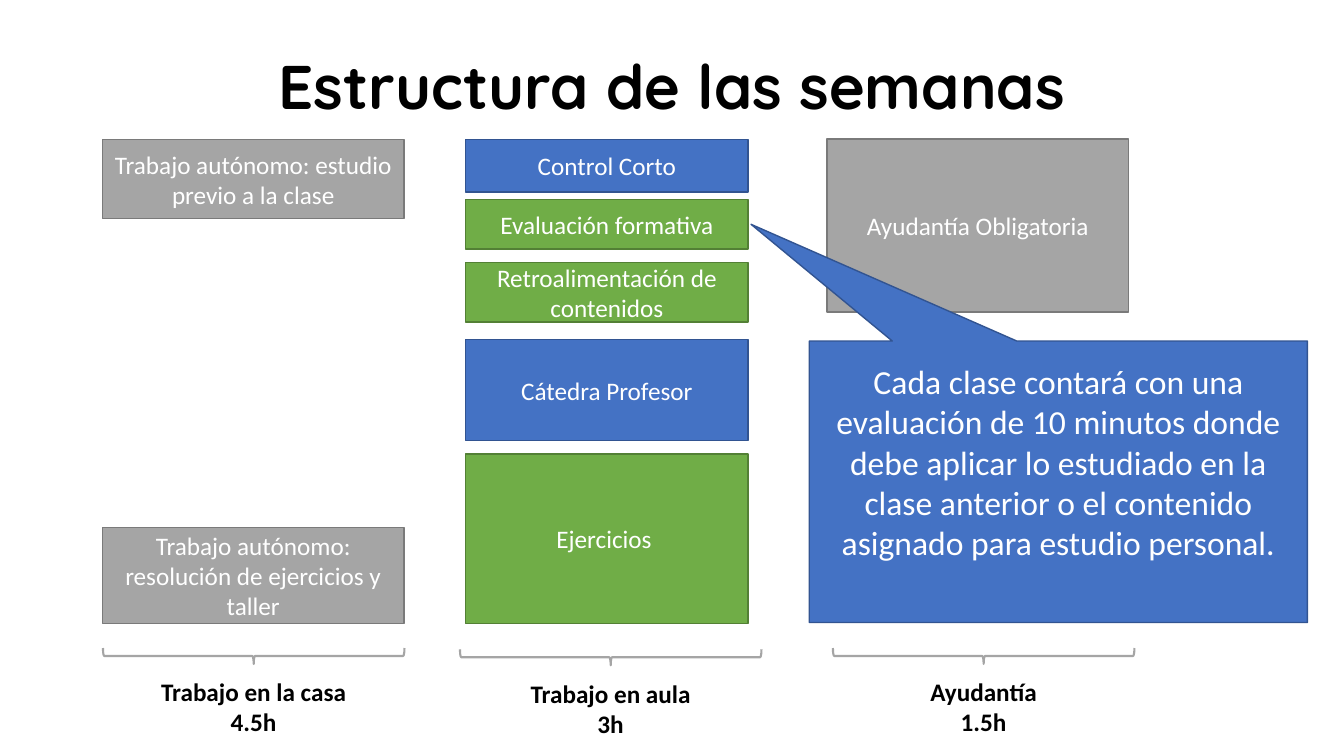
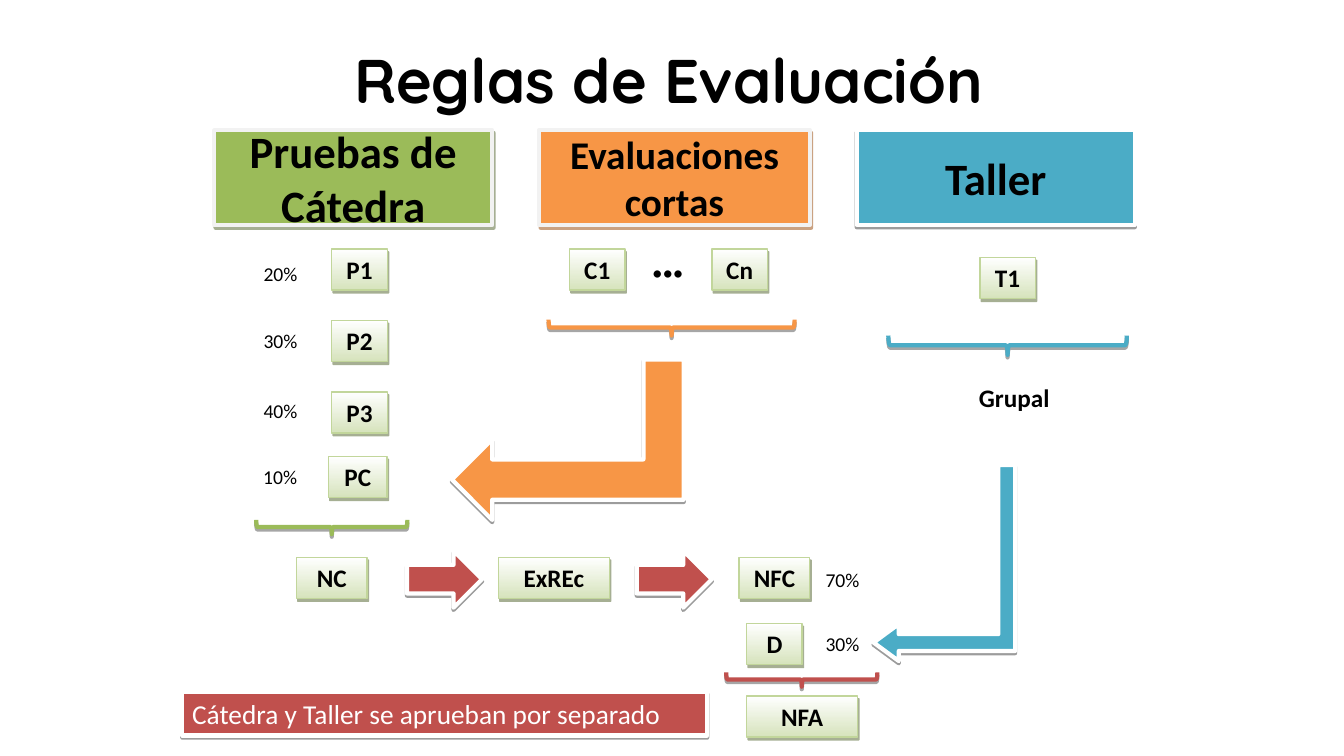
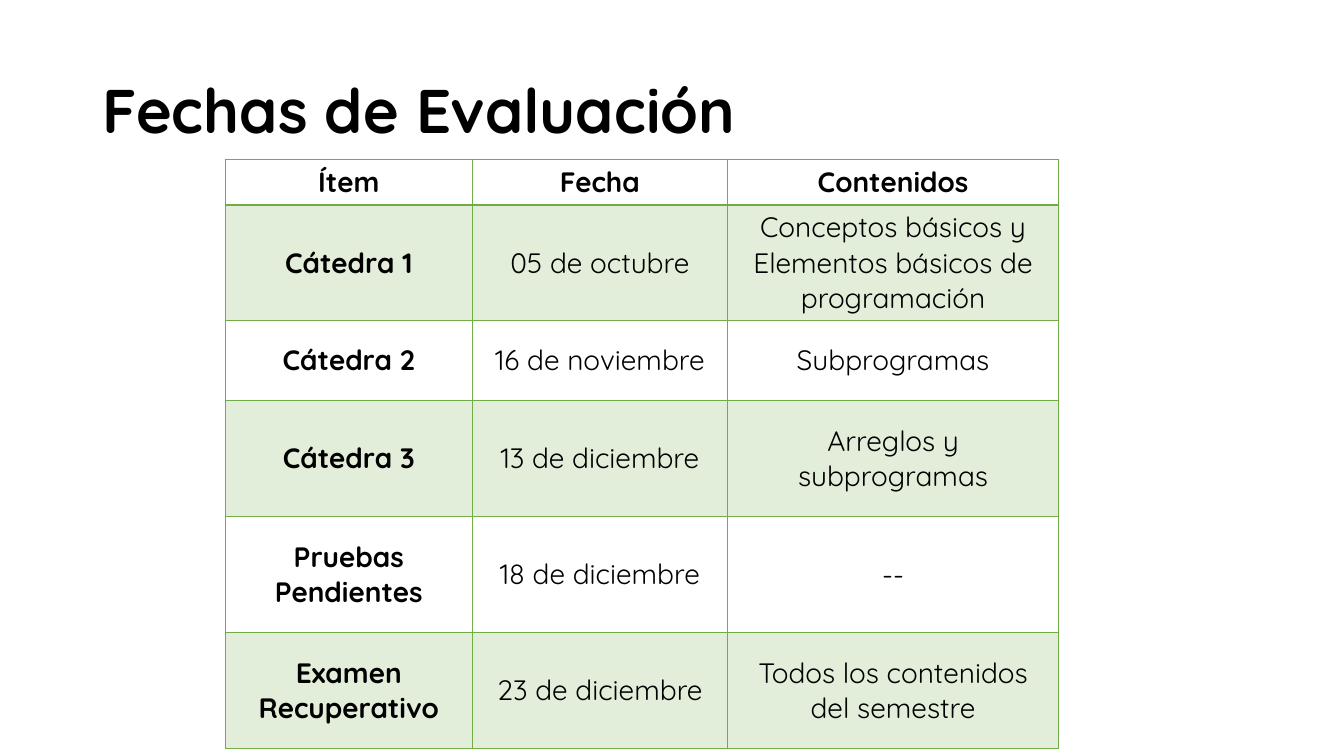
from lxml import etree
from pptx import Presentation
from pptx import util as u
from pptx.dml.color import RGBColor
from pptx.enum import shapes, text
from pptx.oxml import ns

# Shared look
BLACK = RGBColor(0x00, 0x00, 0x00)
WHITE = RGBColor(0xFF, 0xFF, 0xFF)
PALE = RGBColor(0xF2, 0xF2, 0xF2)
BLUE = RGBColor(0x44, 0x72, 0xC4)
BLUE_EDGE = RGBColor(0x32, 0x54, 0x91)
GREEN = RGBColor(0x70, 0xAD, 0x47)
GREEN_EDGE = RGBColor(0x53, 0x80, 0x35)
GREEN_TINT = RGBColor(0xE2, 0xEE, 0xDA)
GREY = RGBColor(0xA5, 0xA5, 0xA5)
GREY_EDGE = RGBColor(0x7A, 0x7A, 0x7A)
OLIVE = RGBColor(0x9B, 0xBB, 0x59)
OLIVE_DARK = RGBColor(0x4E, 0x61, 0x28)
OLIVE_TINT = RGBColor(0xD6, 0xE3, 0xBC)
OLIVE_EDGE = RGBColor(0xC2, 0xD6, 0x9B)
ORANGE = RGBColor(0xF7, 0x96, 0x46)
ORANGE_DARK = RGBColor(0x97, 0x47, 0x06)
TEAL = RGBColor(0x4B, 0xAC, 0xC6)
RED = RGBColor(0xC0, 0x50, 0x4D)
BODY_FONT, TITLE_FONT = "Calibri", "Quicksand"
EDGES = {BLUE: BLUE_EDGE, GREEN: GREEN_EDGE, GREY: GREY_EDGE}

# Shadows: colour, opacity %, distance in points, angle
OLIVE_SHADOW = (OLIVE_DARK, 50, 2.2, 63)
ORANGE_SHADOW = (ORANGE_DARK, 50, 2.2, 63)
ARROW_SHADOW = (BLACK, 38, 1.6, 90)
BRACE_SHADOW = (BLACK, 35, 1.8, 90)

RECTANGLE = shapes.MSO_SHAPE.RECTANGLE
BRACE = shapes.MSO_SHAPE.RIGHT_BRACE
LEFT, CENTER, RIGHT = text.PP_ALIGN.LEFT, text.PP_ALIGN.CENTER, text.PP_ALIGN.RIGHT
TOP, MIDDLE = text.MSO_ANCHOR.TOP, text.MSO_ANCHOR.MIDDLE

# Grid of 160 columns by 90 rows of square cells
CELL = u.Inches(1) // 12
deck = Presentation()
deck.slide_width, deck.slide_height = 160 * CELL, 90 * CELL


def draw(page, outline, area, fill=None, line=None, width=1, shadow=None):
    """Draw a preset, or a closed outline given as points, on the grid."""
    if isinstance(outline, list):
        points = [(round(x * CELL), round(y * CELL)) for x, y in outline]
        builder = page.shapes.build_freeform(*points[0])
        builder.add_line_segments(points[1:], close=True)
        shape = builder.convert_to_shape()
    else:
        shape = page.shapes.add_shape(outline, *[round(v * CELL) for v in area])
    if fill is None:
        shape.fill.background()
    elif isinstance(fill, list):
        shape.fill.gradient()
        shape.fill.gradient_angle = 270
        for stop, colour in zip(shape.fill.gradient_stops, fill):
            stop.color.rgb = colour
    else:
        shape.fill.solid()
        shape.fill.fore_color.rgb = fill
    if line is None:
        shape.line.fill.background()
    else:
        shape.line.color.rgb = line
        shape.line.width = u.Pt(width)
    shape.shadow.inherit = False
    if shadow:
        colour, opacity, distance, angle = shadow
        effects = shape._element.spPr.find(ns.qn("a:effectLst"))
        outer = etree.SubElement(effects, ns.qn("a:outerShdw"), blurRad="0",
                                 dist=str(u.Pt(distance)), dir=str(angle * 60000),
                                 algn="t", rotWithShape="0")
        tone = etree.SubElement(outer, ns.qn("a:srgbClr"), val=str(colour))
        etree.SubElement(tone, ns.qn("a:alpha"), val=str(opacity * 1000))
    return shape


def write(holder, words, size, colour=BLACK, bold=False, align=CENTER,
          anchor=MIDDLE, font=BODY_FONT):
    """Fill a shape, text box, placeholder or cell with text."""
    frame = holder.text_frame
    if hasattr(holder, "vertical_anchor"):  # a table cell
        holder.vertical_anchor = anchor
    else:
        frame.word_wrap = True
        frame.vertical_anchor = anchor
    frame.text = words
    for para in frame.paragraphs:
        para.alignment = align
        for span in para.runs:
            span.font.name, span.font.size = font, u.Pt(size)
            span.font.bold, span.font.color.rgb = bold, colour


# Pages and titles: area, alignment, line spacing
pages = []
for words, area, align, spacing in [
    ("Estructura de las semanas", (28.25, 4.8, 103.5, 11.8), CENTER, 0.9),
    ("Reglas de Evaluación", (24.2, 4.3, 110.9, 10.1), CENTER, 1.0),
    ("Fechas de Evaluación", (11, 4.8, 138, 17.4), LEFT, 0.9),
]:
    page = deck.slides.add_slide(deck.slide_layouts[5])
    title = page.shapes.title
    title.left, title.top, title.width, title.height = [round(v * CELL) for v in area]
    write(title, words, 44, bold=True, align=align, font=TITLE_FONT)
    title.text_frame.auto_size = text.MSO_AUTO_SIZE.NONE
    title.text_frame.paragraphs[0].line_spacing = spacing
    pages.append(page)
weeks, rules, dates = pages

# Weeks: activity blocks in three columns (left, width)
home, classroom, tutorial = (12.2, 35.9), (55.45, 33.6), (98.45, 35.9)
for (left, width), top, height, colour, words in [
    (home, 16.6, 9.45, GREY, "Trabajo autónomo: estudio previo a la clase"),
    (home, 62.8, 11.4, GREY, "Trabajo autónomo: resolución de ejercicios y taller"),
    (classroom, 16.6, 6.25, BLUE, "Control Corto"),
    (classroom, 23.75, 5.9, GREEN, "Evaluación formativa"),
    (classroom, 31.25, 7.1, GREEN, "Retroalimentación de contenidos"),
    (classroom, 40.45, 12, BLUE, "Cátedra Profesor"),
    (classroom, 54.05, 20.2, GREEN, "Ejercicios "),
    (tutorial, 16.55, 20.6, GREY, "Ayudantía Obligatoria"),
]:
    block = draw(weeks, RECTANGLE, (left, top, width, height), colour, EDGES[colour])
    write(block, words, 18, WHITE)

# Weeks: braces with the hours of each column
span_width, depth = 35.9, 1.9
for middle, row, words in [
    (30.2, 78.1, "Trabajo en la casa\n4.5h"),
    (72.7, 78.25, "Trabajo en aula\n3h"),
    (117.1, 78.1, "Ayudantía\n1.5h"),
]:
    area = (middle - depth / 2, row - span_width / 2, depth, span_width)
    draw(weeks, BRACE, area, line=GREY, width=1.5).rotation = 90
    area = (middle - 13.2, row + 1.85, 26.4, 8.5)
    label = weeks.shapes.add_textbox(*[round(v * CELL) for v in area])
    write(label, words, 18, bold=True, anchor=TOP)

# Weeks: callout
callout = draw(weeks, shapes.MSO_SHAPE.RECTANGULAR_CALLOUT,
               (96.35, 40.6, 59.3, 33.5), BLUE, BLUE_EDGE)
callout.adjustments[0], callout.adjustments[1] = -0.617, -0.915
write(callout, "Cada clase contará con una evaluación de 10 minutos donde debe aplicar "
      "lo estudiado en la clase anterior o el contenido asignado para estudio personal.",
      24, WHITE)
callout.text_frame.margin_bottom = round(5.4 * CELL)

# Rules: headings
for left, width, fill, line, shadow, size, words in [
    (25.5, 33.1, OLIVE, PALE, OLIVE_SHADOW, 32, "Pruebas de Cátedra"),
    (64.2, 32.2, ORANGE, PALE, ORANGE_SHADOW, 28, "Evaluaciones cortas"),
    (102, 33.1, TEAL, WHITE, ARROW_SHADOW, 32, "Taller"),
]:
    heading = draw(rules, RECTANGLE, (left, 15.5, width, 11.3), fill, line, 3, shadow)
    write(heading, words, size, bold=True)

# Rules: braces (centre, span, depth)
for middle, row, span_width, depth, colour in [
    (79.95, 39, 29.3, 1.9, ORANGE),
    (119.95, 41.1, 28.4, 2.3, TEAL),
    (39.5, 62.75, 18, 1.7, OLIVE),
    (95.45, 80.9, 18, 1.7, RED),
]:
    area = (middle - depth / 2, row - span_width / 2, depth, span_width)
    draw(rules, BRACE, area, line=colour, width=3, shadow=BRACE_SHADOW).rotation = 90

# Rules: bent arrows that go down and then left
for top, right, row, tip, neck, shaft, head, colour in [
    (42.8, 81.4, 57.1, 53.8, 58.6, 2.4, 4.8, ORANGE),
    (55.35, 120.85, 76.5, 104, 107, 1, 2.2, TEAL),
]:
    inner = right - 2 * shaft
    outline = [(inner, top), (inner, row - shaft), (neck, row - shaft),
               (neck, row - head), (tip, row), (neck, row + head),
               (neck, row + shaft), (right, row + shaft), (right, top)]
    draw(rules, outline, None, colour, WHITE, 3, ARROW_SHADOW)

# Rules: straight arrows
for left in (48.45, 75.8):
    draw(rules, shapes.MSO_SHAPE.RIGHT_ARROW, (left, 65.55, 8.95, 6.8),
         RED, WHITE, 3, ARROW_SHADOW)

# Rules: grades
for left, top, width, words in [
    (39.5, 29.65, 6.6, "P1"), (39.5, 38.15, 6.6, "P2"), (39.5, 46.65, 6.6, "P3"),
    (39.1, 54.35, 7, "PC"), (67.8, 29.65, 6.6, "C1"), (84.75, 29.65, 6.6, "Cn"),
    (116.65, 30.65, 6.6, "T1"), (35.3, 66.35, 8.4, "NC"),
    (59.35, 66.35, 13.2, "ExREc"), (88, 66.35, 8.4, "NFC"),
    (88.9, 74.25, 6.6, "D"), (88.9, 82.85, 13.2, "NFA"),
]:
    grade = draw(rules, RECTANGLE, (left, top, width, 4.9),
                 [WHITE, OLIVE_TINT], OLIVE_EDGE, 1, OLIVE_SHADOW)
    write(grade, words, 18, bold=True, anchor=TOP)

# Rules: weights and loose labels
weights = [(25.3, 30.6, "20%"), (25.3, 38.55, "30%"), (25.3, 46.9, "40%"),
           (25.25, 54.8, "10%"), (92.2, 67, "70%"), (92.2, 74.65, "30%")]
labels = [((left, top, 11.3, 4.1), words, 14, False, RIGHT)
          for left, top, words in weights]
labels += [((74.75, 28.7, 9.5, 6.8), "···", 28, True, CENTER),
           ((106.35, 44.95, 28.8, 4.8), "Grupal", 18, True, CENTER)]
for area, words, size, bold, align in labels:
    label = rules.shapes.add_textbox(*[round(v * CELL) for v in area])
    write(label, words, size, bold=bold, align=align, anchor=TOP)

note = draw(rules, RECTANGLE, (21.7, 82.35, 62.5, 5.2), RED, WHITE, 3, ARROW_SHADOW)
write(note, "Cátedra y Taller se aprueban por separado", 19.5, WHITE,
      align=LEFT, anchor=TOP)

# Dates: table
columns = [29.45, 30.35, 39.45]
heights = [4.6, 11.6, 9.55, 13.8, 13.8, 13.8]
entries = [
    ("Ítem", "Fecha", "Contenidos"),
    ("Cátedra 1", "05 de octubre", "Conceptos básicos y Elementos básicos de programación"),
    ("Cátedra 2", "16 de noviembre", "Subprogramas"),
    ("Cátedra 3", "13 de diciembre", "Arreglos y subprogramas"),
    ("Pruebas Pendientes", "18 de diciembre", "--"),
    ("Examen Recuperativo", "23 de diciembre", "Todos los contenidos del semestre"),
]
area = (26.8, 19, sum(columns), sum(heights))
table = dates.shapes.add_table(len(heights), len(columns),
                               *[round(v * CELL) for v in area]).table
table.first_row = table.horz_banding = False
for column, width in zip(table.columns, columns):
    column.width = round(width * CELL)
for r, (height, row_words) in enumerate(zip(heights, entries)):
    table.rows[r].height = round(height * CELL)
    for c, words in enumerate(row_words):
        cell = table.cell(r, c)
        write(cell, words, 20, bold=r == 0 or c == 0, font=TITLE_FONT,
              anchor=MIDDLE if r else TOP)
        if r % 2:
            cell.fill.solid()
            cell.fill.fore_color.rgb = GREEN_TINT
        else:
            cell.fill.background()
        # Borders, heavier under the header row
        for place, side in enumerate(("lnL", "lnR", "lnT", "lnB")):
            heavy = (r, side) in ((0, "lnB"), (1, "lnT"))
            border = etree.Element(ns.qn("a:" + side), w=str(u.Pt(2 if heavy else 1)))
            paint = etree.SubElement(border, ns.qn("a:solidFill"))
            etree.SubElement(paint, ns.qn("a:srgbClr"), val=str(GREEN))
            cell._tc.get_or_add_tcPr().insert(place, border)

deck.save("out.pptx")
